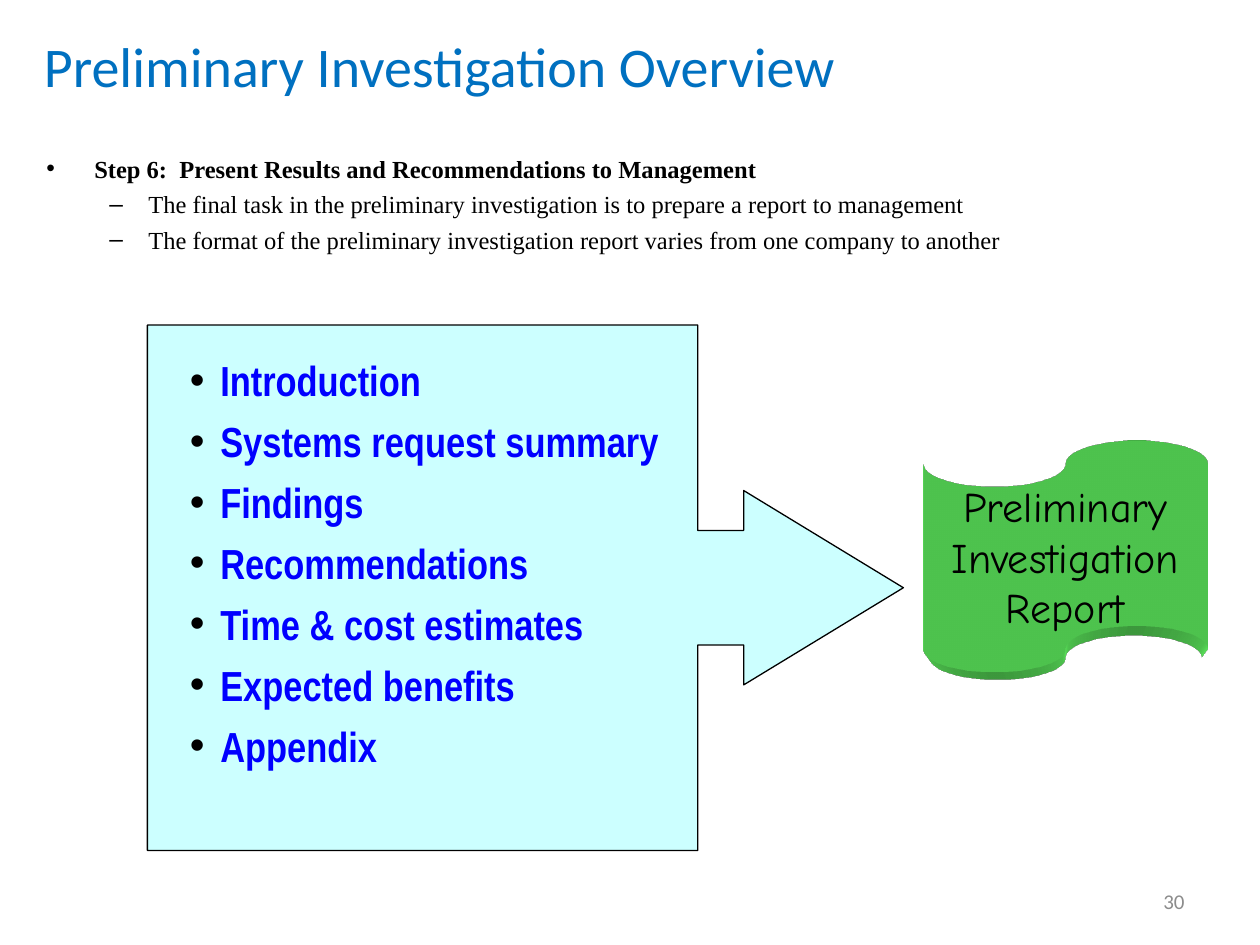
import pptx
import pptx.util
import pptx.dml.color
import pptx.enum.shapes
import pptx.enum.text
import pptx.oxml
import pptx.oxml.ns

Inches = pptx.util.Inches
Pt = pptx.util.Pt
RGBColor = pptx.dml.color.RGBColor
SHAPE = pptx.enum.shapes.MSO_SHAPE
ALIGN = pptx.enum.text.PP_ALIGN
ANCHOR = pptx.enum.text.MSO_ANCHOR

TITLE_BLUE = RGBColor(0x00, 0x70, 0xC0)
ITEM_BLUE = RGBColor(0x00, 0x00, 0xFF)
PALE_CYAN = RGBColor(0xCC, 0xFF, 0xFF)
GREEN = RGBColor(0x66, 0xFF, 0x66)
GRAY = RGBColor(0x8C, 0x8C, 0x8C)
BLACK = RGBColor(0x00, 0x00, 0x00)

REPORT_SECTIONS = [
    "Introduction",
    "Systems request summary",
    "Findings",
    "Recommendations",
    "Time & cost estimates",
    "Expected benefits",
    "Appendix",
]
STEP_DETAILS = [
    "The final task in the preliminary investigation is to prepare a report to management",
    "The format of the preliminary investigation report varies from one company to another",
]


def add_xml(parent, xml):
    ns = pptx.oxml.ns.nsdecls("a")
    parent.append(pptx.oxml.parse_xml(xml.replace(">", f" {ns}>", 1)))


def write(p, text, font, size, color=BLACK, bold=False, align=ALIGN.LEFT,
          before=None, bullet=None, margin=0, hang=0, level=0):
    p.alignment = align
    p.level = level
    if before is not None:
        p.space_before = Pt(before)
    if bullet:
        pPr = p._p.get_or_add_pPr()
        pPr.set("marL", str(Inches(margin)))
        pPr.set("indent", str(-Inches(hang)))
        add_xml(pPr, '<a:buClr><a:srgbClr val="000000"/></a:buClr>')
        add_xml(pPr, '<a:buFont typeface="Arial"></a:buFont>')
        add_xml(pPr, f'<a:buChar char="{bullet}"></a:buChar>')
    r = p.add_run()
    r.text = text
    r.font.name = font
    r.font.size = Pt(size)
    r.font.bold = bold
    r.font.color.rgb = color


class SlideBuilder:
    def __init__(self, prs):
        self.s = prs.slides.add_slide(prs.slide_layouts[6])

    def frame(self, sp, anchor, wrap=True):
        tf = sp.text_frame
        tf.word_wrap = wrap
        tf.vertical_anchor = anchor
        return tf

    def text(self, x, y, w, h, anchor=ANCHOR.MIDDLE):
        sp = self.s.shapes.add_textbox(Inches(x), Inches(y), Inches(w), Inches(h))
        return self.frame(sp, anchor)

    def shape(self, kind, x, y, w, h, fill, line=None, adjustments=(), wrap=True):
        sp = self.s.shapes.add_shape(kind, Inches(x), Inches(y), Inches(w), Inches(h))
        sp.shadow.inherit = False
        for i, value in enumerate(adjustments):
            sp.adjustments[i] = value
        sp.fill.solid()
        sp.fill.fore_color.rgb = fill
        if line is None:
            sp.line.fill.background()
        else:
            sp.line.color.rgb = line
            sp.line.width = Pt(0.75)
        return sp, self.frame(sp, ANCHOR.MIDDLE, wrap)

    def extrude(self, sp, color):
        spPr = sp._element.spPr
        add_xml(spPr, '<a:scene3d><a:camera prst="legacyPerspectiveBottom"/>'
                      '<a:lightRig rig="legacyFlat3" dir="t"/></a:scene3d>')
        add_xml(spPr, '<a:sp3d extrusionH="430200" prstMaterial="legacyMatte">'
                      f'<a:extrusionClr><a:srgbClr val="{color}"/></a:extrusionClr></a:sp3d>')

    def paragraphs(self, tf, lines, before=None, **style):
        for i, line in enumerate(lines):
            p = tf.add_paragraph() if i else tf.paragraphs[0]
            write(p, line, before=before if i else None, **style)


def main():
    prs = pptx.Presentation()
    prs.slide_width = Inches(10)
    prs.slide_height = Inches(7.5)
    slide = SlideBuilder(prs)

    tf = slide.text(0.25, 0.17, 9, 0.7)
    write(tf.paragraphs[0], "Preliminary Investigation Overview", "Calibri", 32, TITLE_BLUE)

    tf = slide.text(0.27, 1.17, 9, 4.95, ANCHOR.TOP)
    write(tf.paragraphs[0], "Step 6:  Present Results and Recommendations to Management",
          "Times New Roman", 14, bold=True, bullet="•", margin=0.38, hang=0.38)
    for detail in STEP_DETAILS:
        write(tf.add_paragraph(), detail, "Times New Roman", 14, before=3.5,
              bullet="–", margin=0.81, hang=0.31, level=1)

    tf = slide.text(7.17, 6.95, 2.33, 0.4)
    write(tf.paragraphs[0], "30", "Calibri", 12, GRAY, align=ALIGN.RIGHT)

    sp, tf = slide.shape(SHAPE.RIGHT_ARROW_CALLOUT, 1.17, 2.58, 6, 4.17, PALE_CYAN,
                         BLACK, (0.218, 0.185, 0.304, 0.728))
    tf.margin_bottom = Inches(0.45)
    slide.paragraphs(tf, REPORT_SECTIONS, font="Arial Narrow", size=24, color=ITEM_BLUE,
                     bold=True, before=6, bullet="•", margin=0.48, hang=0.24)

    sp, tf = slide.shape(SHAPE.FLOWCHART_PUNCHED_TAPE, 7.33, 3.5, 2.25, 1.83, GREEN, wrap=False)
    slide.extrude(sp, GREEN)
    slide.paragraphs(tf, ["Preliminary", "Investigation", "Report"],
                     font="Comic Neue", size=24, align=ALIGN.CENTER)

    prs.save("out.pptx")


if __name__ == "__main__":
    main()
